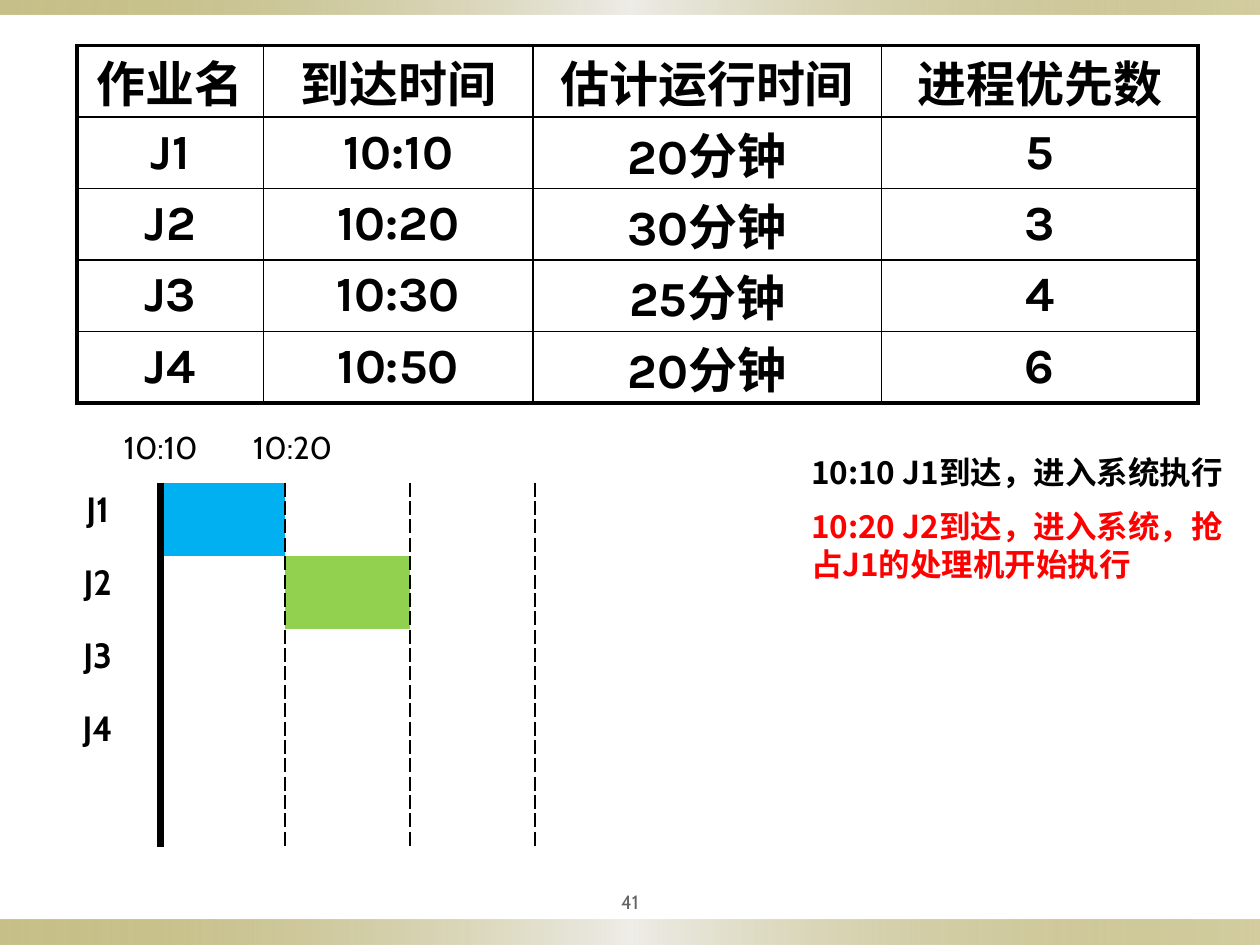
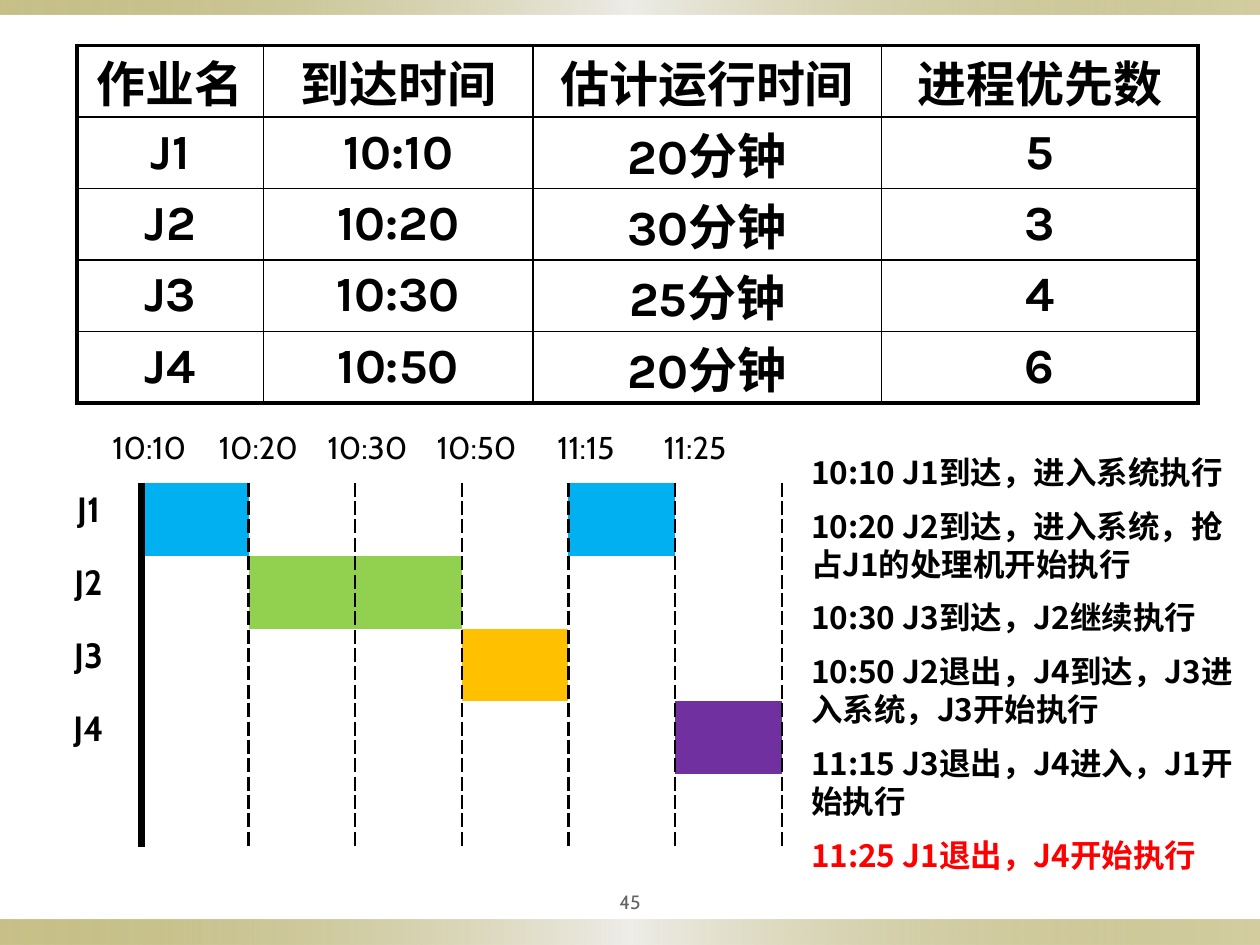
import lxml.etree
import pptx
import pptx.dml.color
import pptx.enum.shapes
import pptx.enum.text
import pptx.oxml.ns
import pptx.util
from pptx.util import Cm

RGBColor = pptx.dml.color.RGBColor
BLACK = RGBColor(0x00, 0x00, 0x00)
GREY = RGBColor(0x63, 0x63, 0x63)
RED = RGBColor(0xFF, 0x00, 0x00)
BLUE = RGBColor(0x00, 0xB0, 0xF0)
GREEN = RGBColor(0x92, 0xD0, 0x50)
ORANGE = RGBColor(0xFF, 0xC0, 0x00)
PURPLE = RGBColor(0x70, 0x30, 0xA0)
GOLD = RGBColor(0x91, 0x84, 0x15)
SILVER = RGBColor(0xEE, 0xED, 0xE8)

BAND_STOPS = [(0, GOLD, 50), (50, SILVER, 100), (100, GOLD, 40)]
PLAIN_TABLE_STYLE = "{2D5ABB26-0587-4C30-8999-92F81FD0307C}"
CENTER = pptx.enum.text.PP_ALIGN.CENTER
MIDDLE = pptx.enum.text.MSO_ANCHOR.MIDDLE

JOBS = [
    ("作业名", "到达时间", "估计运行时间", "进程优先数"),
    ("J1", "10:10", "20分钟", "5"),
    ("J2", "10:20", "30分钟", "3"),
    ("J3", "10:30", "25分钟", "4"),
    ("J4", "10:50", "20分钟", "6"),
]
JOB_WIDTHS = [3.76, 5.43, 7.03, 6.38]
EVENTS = [
    "10:10 J1到达，进入系统执行",
    "10:20 J2到达，进入系统，抢占J1的处理机开始执行",
    "10:30 J3到达，J2继续执行",
    "10:50 J2退出，J4到达，J3进入系统，J3开始执行",
    "11:15 J3退出，J4进入，J1开始执行",
    "11:25 J1退出，J4开始执行",
]
TIMES = ["10:10", "10:20", "10:30", "10:50", "11:15", "11:25"]
BAR_COLORS = [BLUE, GREEN, ORANGE, PURPLE]


def add_child(parent, tag, **attributes):
    return lxml.etree.SubElement(parent, pptx.oxml.ns.qn(tag), attributes)


def write_text(paragraph, text, size=18, font="Cabin", color=BLACK, bold=False,
               align=None, before=None, line=None):
    paragraph.alignment = align
    paragraph.space_before = before
    paragraph.line_spacing = line
    run = paragraph.add_run()
    run.text = text
    run.font.size = pptx.util.Pt(size)
    run.font.bold = bold
    run.font.color.rgb = color
    run.font.name = font
    add_child(run._r.get_or_add_rPr(), "a:ea", typeface="Noto Sans CJK SC")


class Deck:
    def __init__(self):
        self.presentation = pptx.Presentation()
        self.presentation.slide_width = Cm(25.4)
        self.presentation.slide_height = Cm(19.05)
        self.layout = self.presentation.slide_layouts[6]
        self.slide = None

    def start_slide(self, number):
        first = self.slide is None
        self.slide = self.presentation.slides.add_slide(self.layout)
        if first:
            self.add_shared_band(18.54, 0.51)
            self.add_shared_band(0, 0.3)
        frame = self.add_text_box(11.43, 17.78, 2.54, 0.79)
        frame.vertical_anchor = MIDDLE
        write_text(frame.paragraphs[0], number, size=11, color=GREY, align=CENTER)

    def add_shared_band(self, top, height):
        band = self.slide.shapes.add_shape(
            pptx.enum.shapes.MSO_SHAPE.RECTANGLE, 0, Cm(top),
            self.presentation.slide_width, Cm(height))
        band.shadow.inherit = False
        band.line.fill.background()
        band.fill.gradient()
        band.fill.gradient_angle = 0
        stops = band._element.spPr.find(".//" + pptx.oxml.ns.qn("a:gsLst"))
        for stop in list(stops):
            stops.remove(stop)
        for position, color, opacity in BAND_STOPS:
            stop = add_child(stops, "a:gs", pos=str(position * 1000))
            tint = add_child(stop, "a:srgbClr", val=str(color))
            add_child(tint, "a:alpha", val=str(opacity * 1000))
        self.layout.shapes._spTree.append(band._element)

    def add_text_box(self, left, top, width, height):
        box = self.slide.shapes.add_textbox(Cm(left), Cm(top), Cm(width), Cm(height))
        box.text_frame.word_wrap = True
        return box.text_frame

    def add_plain_table(self, left, top, widths, row_count, row_height):
        shape = self.slide.shapes.add_table(
            row_count, len(widths), Cm(left), Cm(top),
            Cm(sum(widths)), Cm(row_height * row_count))
        table = shape.table
        table.first_row = table.horz_banding = False
        style = table._tbl.tblPr.find(pptx.oxml.ns.qn("a:tableStyleId"))
        style.text = PLAIN_TABLE_STYLE
        for column, width in zip(table.columns, widths):
            column.width = Cm(width)
        for row in table.rows:
            row.height = Cm(row_height)
        return table

    def format_cell(self, cell, borders=None, fill=None):
        properties = cell._tc.get_or_add_tcPr()
        for side in "LRTB":
            if side in (borders or {}):
                width, dash = borders[side]
                line = add_child(properties, f"a:ln{side}",
                                 w=str(pptx.util.Pt(width)))
                solid = add_child(line, "a:solidFill")
                add_child(solid, "a:srgbClr", val=str(BLACK))
                add_child(line, "a:prstDash", val=dash)
        if fill is None:
            cell.fill.background()
        else:
            cell.fill.solid()
            cell.fill.fore_color.rgb = fill

    def add_job_table(self):
        table = self.add_plain_table(1.55, 0.92, JOB_WIDTHS, len(JOBS), 1.44)
        last_row, last_column = len(JOBS) - 1, len(JOB_WIDTHS) - 1
        for row, values in enumerate(JOBS):
            for column, value in enumerate(values):
                cell = table.cell(row, column)
                outer = {"L": column == 0, "R": column == last_column,
                         "T": row == 0, "B": row == last_row}
                self.format_cell(cell, {side: (2.25 if edge else 1, "solid")
                                        for side, edge in outer.items()})
                cell.margin_top = cell.margin_bottom = 0
                cell.vertical_anchor = MIDDLE
                write_text(cell.text_frame.paragraphs[0], value, size=28,
                           font="Karla", bold=True, align=CENTER)

    def add_time_labels(self, times, width):
        table = self.add_plain_table(1.91, 8.53, [width] * 7, 1, 1)
        for column in range(7):
            cell = table.cell(0, column)
            self.format_cell(cell)
            if column < len(times):
                write_text(cell.text_frame.paragraphs[0], times[column], align=CENTER)

    def add_gantt(self, width, last_slot, bars):
        table = self.add_plain_table(0.71, 9.73, [width] * 8, 5, 1.47)
        edges = {0: (4.5, "solid")}
        edges.update({slot: (1.5, "sysDash") for slot in range(1, last_slot + 1)})
        for row in range(5):
            for column in range(8):
                borders = {}
                if column - 1 in edges:
                    borders["L"] = edges[column - 1]
                if column in edges:
                    borders["R"] = edges[column]
                busy = row < len(bars) and column in bars[row]
                self.format_cell(table.cell(row, column), borders,
                                 BAR_COLORS[row] if busy else None)
            if row < 4:
                write_text(table.cell(row, 0).text_frame.paragraphs[0],
                           f"J{row + 1}", size=20, bold=True, align=CENTER)

    def add_events(self, events, height):
        frame = self.add_text_box(16.1, 9, 9, height)
        for index, event in enumerate(events):
            paragraph = frame.add_paragraph() if index else frame.paragraphs[0]
            write_text(paragraph, event, font="Noto Sans CJK SC", bold=True,
                       color=RED if event == events[-1] else BLACK,
                       before=pptx.util.Pt(9) if index else None,
                       line=pptx.util.Pt(21.7))

    def add_schedule(self, number, times, label_width, slot_width, last_slot,
                     bars, events, events_height):
        self.start_slide(number)
        self.add_job_table()
        self.add_time_labels(times, label_width)
        self.add_gantt(slot_width, last_slot, bars)
        self.add_events(events, events_height)


def main():
    deck = Deck()
    deck.add_schedule("41", TIMES[:2], 2.66, 2.52, 2, [[1], [2]], EVENTS[:2], 2.95)
    deck.add_schedule("45", TIMES, 2.2, 2.15, 6, [[1, 5], [2, 3], [4], [6]],
                      EVENTS, 9.09)
    deck.presentation.save("out.pptx")


if __name__ == "__main__":
    main()
